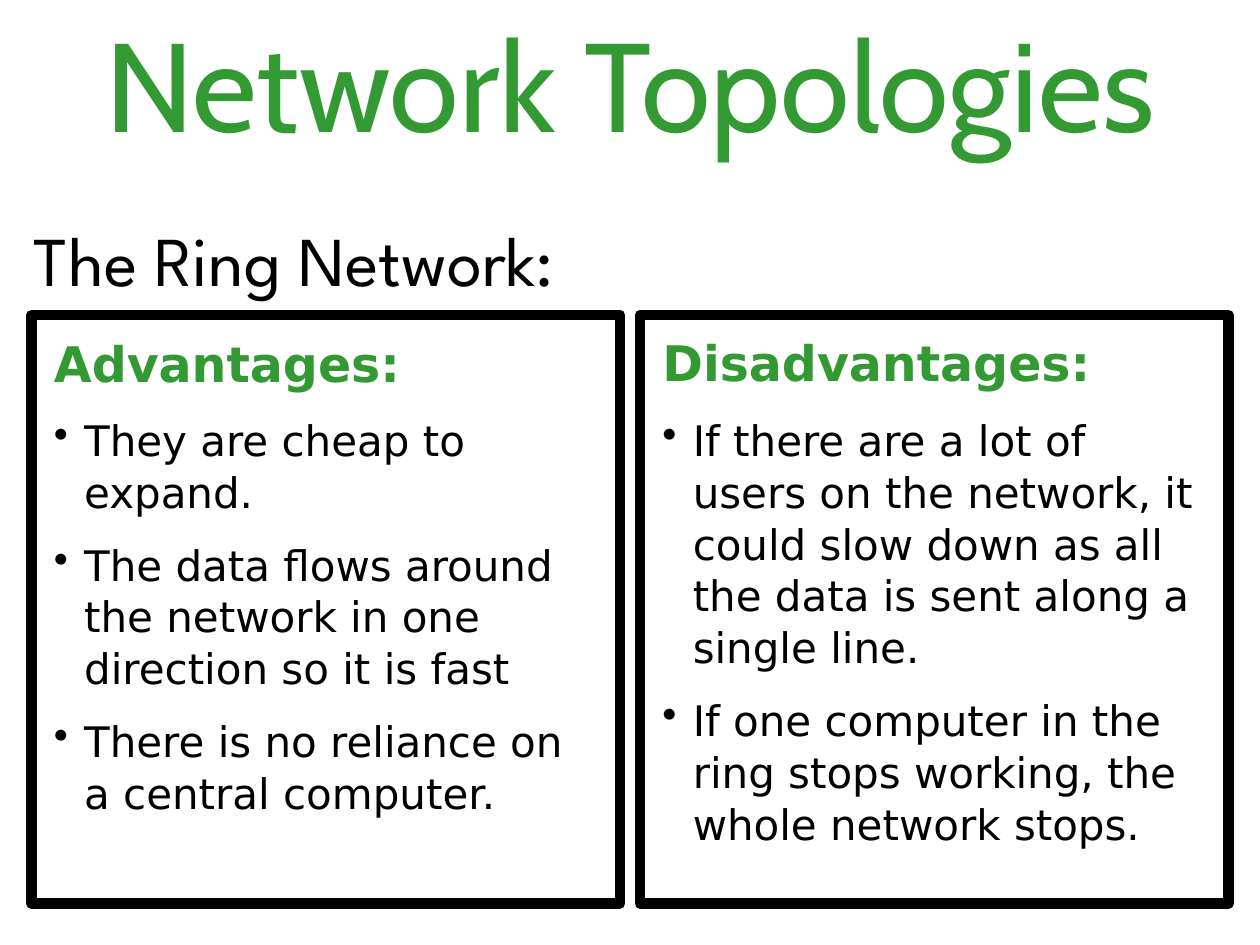
from lxml import etree
from pptx import Presentation
from pptx.dml.color import RGBColor
from pptx.enum import shapes, text
from pptx.oxml import ns
from pptx.util import Inches, Pt

GREEN = RGBColor(0x33, 0x99, 0x33)
BLACK = RGBColor(0x00, 0x00, 0x00)

TITLE = {"name": "Cabin", "size": Pt(72)}
SUBTITLE = {"name": "League Spartan", "size": Pt(40)}
HEADING = {"name": "DejaVu Sans", "size": Pt(28), "bold": True}
BODY = {"name": "DejaVu Sans", "size": Pt(24), "bold": False}

prs = Presentation()
prs.slide_width, prs.slide_height = Inches(10), Inches(7.5)
s = prs.slides.add_slide(prs.slide_layouts[6])


def add_box(left, top, width, height):
    tf = s.shapes.add_textbox(Inches(left), Inches(top), Inches(width), Inches(height)).text_frame
    tf.word_wrap = True
    return tf


def write(p, words, fmt, color):
    r = p.add_run()
    r.text = words
    for key, value in fmt.items():
        setattr(r.font, key, value)
    r.font.color.rgb = color


# Title and subtitle
p = add_box(0, 0, 10, 1.3).paragraphs[0]
p.alignment = text.PP_ALIGN.CENTER
write(p, "Network Topologies", TITLE, GREEN)
write(add_box(0.17, 1.67, 5, 0.77).paragraphs[0], "The Ring Network:", SUBTITLE, BLACK)

# Framed columns: left edge, text height, heading, points
columns = [
    (0.25, 4.01, "Advantages:", [
        "They are cheap to expand.",
        "The data flows around the network in one direction so it is fast",
        "There is no reliance on a central computer.",
    ]),
    (5.08, 4.16, "Disadvantages:", [
        "If there are a lot of users on the network, it could slow down as all "
        "the data is sent along a single line.",
        "If one computer in the ring stops working, the whole network stops.",
    ]),
]
for left, height, heading, points in columns:
    sp = s.shapes.add_shape(shapes.MSO_SHAPE.RECTANGLE, Inches(left), Inches(2.5),
                            Inches(4.67), Inches(4.67))
    sp.shadow.inherit = False
    sp.fill.background()
    sp.line.color.rgb = BLACK
    sp.line.width = Pt(6)

    tf = add_box(left + 0.08, 2.58, 4.5, height)
    p = tf.paragraphs[0]
    p.line_spacing = 1.03
    write(p, heading, HEADING, GREEN)
    for point in points:
        p = tf.add_paragraph()
        p.line_spacing = 1.03
        p.space_before = Pt(12)
        # Bullet with a hanging indent
        pPr = p._p.get_or_add_pPr()
        pPr.set("marL", str(Inches(0.24)))
        pPr.set("indent", str(-Inches(0.24)))
        etree.SubElement(pPr, ns.qn("a:buChar")).set("char", "•")
        write(p, point, BODY, BLACK)

prs.save("out.pptx")
